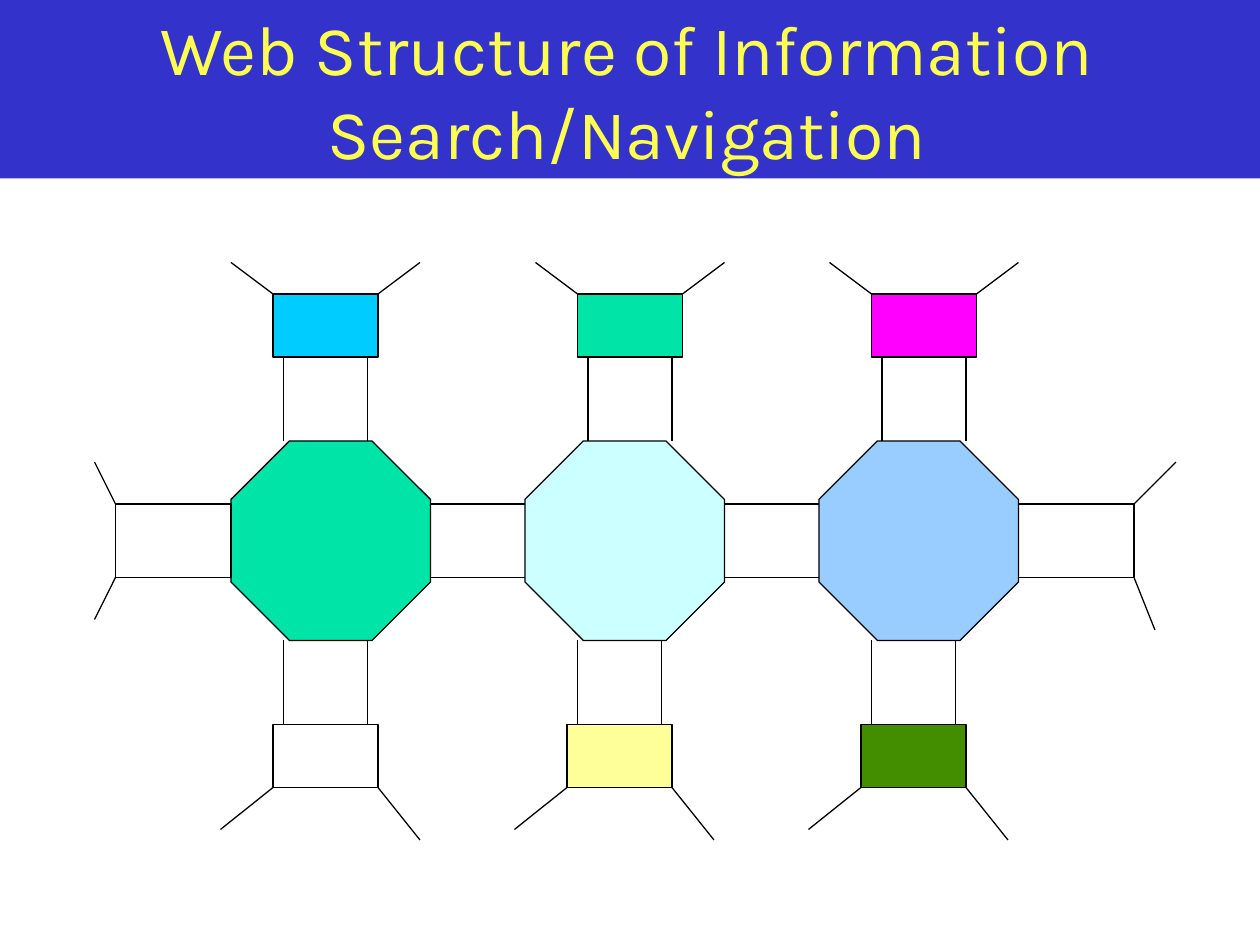
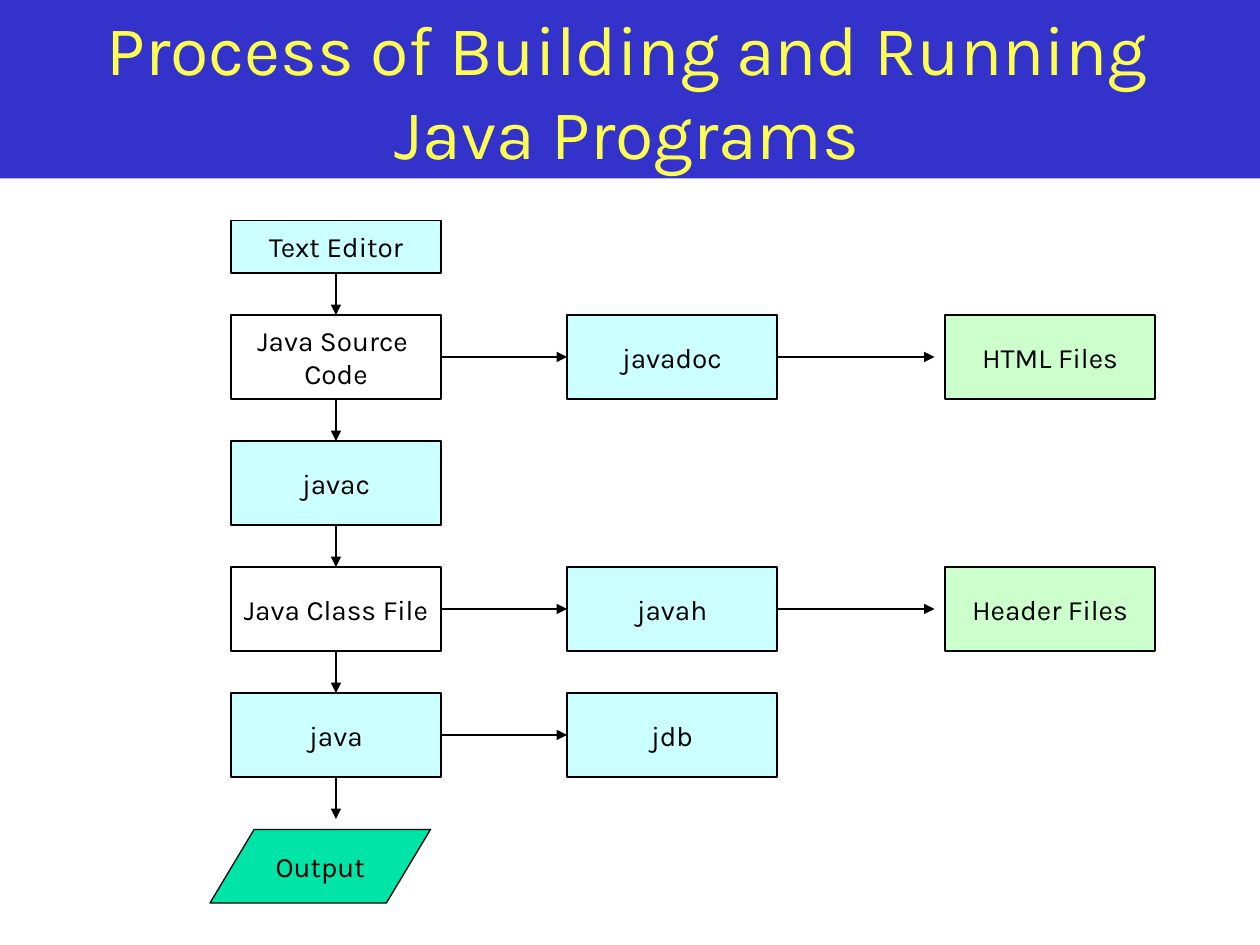
from lxml.etree import SubElement
from pptx import Presentation
from pptx.dml.color import RGBColor
from pptx.enum.shapes import MSO_CONNECTOR, MSO_SHAPE
from pptx.enum.text import MSO_ANCHOR, MSO_AUTO_SIZE, PP_ALIGN
from pptx.oxml.ns import qn
from pptx.util import Inches, Pt

COLORS = {
    "band": "3333CC", "title": "FEFE50", "line": "000000", "text": "000000",
    "green": "00E4A8", "aqua": "CCFFFF", "blue": "99CCFF", "sky": "00CCFF",
    "magenta": "FF00FF", "yellow": "FFFF99", "olive": "438E00", "mint": "CCFFCC",
}
FONT = "Karla"

deck = Presentation()
deck.slide_width, deck.slide_height = Inches(10), Inches(7.5)
# The slide is a grid of 120 columns by 90 rows
UNIT = deck.slide_width / 120


def add_box(page, kind, left, top, width, height, color=None, text=None):
    box = page.shapes.add_shape(kind, *(round(n * UNIT) for n in (left, top, width, height)))
    box.shadow.inherit = False
    box.line.color.rgb = RGBColor.from_string(COLORS["line"])
    box.line.width = Pt(0.75)
    if color:
        box.fill.solid()
        box.fill.fore_color.rgb = RGBColor.from_string(COLORS[color])
    else:
        box.fill.background()
    if text:
        frame = box.text_frame
        frame.word_wrap = False
        frame.vertical_anchor = MSO_ANCHOR.MIDDLE
        frame.text = text
        para = frame.paragraphs[0]
        para.alignment = PP_ALIGN.CENTER
        para.font.name, para.font.size = FONT, Pt(16)
        para.font.color.rgb = RGBColor.from_string(COLORS["text"])
    return box


def add_line(page, x1, y1, x2, y2, arrow=False):
    line = page.shapes.add_connector(
        MSO_CONNECTOR.STRAIGHT, *(round(n * UNIT) for n in (x1, y1, x2, y2)))
    line.line.color.rgb = RGBColor.from_string(COLORS["line"])
    line.line.width = Pt(0.75)
    properties = line.element.spPr
    if arrow:
        SubElement(properties.find(qn("a:ln")), qn("a:tailEnd"), type="triangle")
    SubElement(properties, qn("a:effectLst"))


# Pages with the shared title style
layout = deck.slide_layouts[5]
pages = []
for heading in ("Web Structure of Information Search/Navigation",
                "Process of Building and Running Java Programs"):
    page = deck.slides.add_slide(layout)
    title = page.shapes.title
    title.left, title.top, title.width, title.height = map(Inches, (0.17, 0.17, 9.61, 1.08))
    title.text_frame.text = heading
    title.text_frame.word_wrap = True
    title.text_frame.auto_size = MSO_AUTO_SIZE.NONE
    title.text_frame.vertical_anchor = MSO_ANCHOR.MIDDLE
    para = title.text_frame.paragraphs[0]
    para.alignment = PP_ALIGN.CENTER
    para.font.name, para.font.size = FONT, Pt(40)
    para.font.color.rgb = RGBColor.from_string(COLORS["title"])
    pages.append(page)
web_page, java_page = pages

# Title band, moved to the layout behind everything else
band = add_box(web_page, MSO_SHAPE.RECTANGLE, 0, 0, 120, 17, "band")
band.line.fill.background()
layout.shapes.element.insert(2, band.element)

# Web structure: three hubs, each with a node above and a node below
hubs = [
    (22, "green", 26, "sky", 26, None),
    (50, "aqua", 55, "green", 54, "yellow"),
    (78, "blue", 83, "magenta", 82, "olive"),
]
for hub_left, hub_color, upper, upper_color, lower, lower_color in hubs:
    hub = add_box(web_page, MSO_SHAPE.OCTAGON, hub_left, 42, 19, 19, hub_color)
    hub.adjustments[0] = 0.293
    add_box(web_page, MSO_SHAPE.RECTANGLE, upper, 28, 10, 6, upper_color)
    add_box(web_page, MSO_SHAPE.RECTANGLE, lower, 69, 10, 6, lower_color)
    for inset in (1, 9):
        add_line(web_page, upper + inset, 42, upper + inset, 34)
        add_line(web_page, lower + inset, 69, lower + inset, 61)
    # Loose ends leading away from the nodes
    add_line(web_page, upper, 28, upper - 4, 25)
    add_line(web_page, upper + 10, 28, upper + 14, 25)
    add_line(web_page, lower, 75, lower - 5, 79)
    add_line(web_page, lower + 10, 75, lower + 14, 80)

# Bridges between neighbouring hubs
for bridge_left in (41, 69):
    for row in (48, 55):
        add_line(web_page, bridge_left, row, bridge_left + 9, row)

# Side nodes and their loose ends
for side_left in (11, 97):
    add_box(web_page, MSO_SHAPE.RECTANGLE, side_left, 48, 11, 7)
for ends in ((108, 48, 112, 44), (108, 55, 110, 60), (11, 55, 9, 59), (11, 48, 9, 44)):
    add_line(web_page, *ends)

# Java build process: main steps, each with the tools and files to its right
LEFT, MIDDLE, RIGHT, BOX_WIDTH = 22, 54, 90, 20
steps = [
    (21, 5, "Text Editor", "aqua", None, None),
    (30, 8, "Java Source \vCode", None, "javadoc", "HTML Files"),
    (42, 8, "javac", "aqua", None, None),
    (54, 8, "Java Class File", None, "javah", "Header Files"),
    (66, 8, "java", "aqua", "jdb", None),
]
next_tops = [step[0] for step in steps[1:]] + [78]
for (top, height, name, color, tool, files), next_top in zip(steps, next_tops):
    center = top + height / 2
    add_box(java_page, MSO_SHAPE.RECTANGLE, LEFT, top, BOX_WIDTH, height, color, name)
    add_line(java_page, 32, top + height, 32, next_top, arrow=True)
    if tool:
        add_box(java_page, MSO_SHAPE.RECTANGLE, MIDDLE, top, BOX_WIDTH, height, "aqua", tool)
        add_line(java_page, LEFT + BOX_WIDTH, center, MIDDLE, center, arrow=True)
    if files:
        add_box(java_page, MSO_SHAPE.RECTANGLE, RIGHT, top, BOX_WIDTH, height, "mint", files)
        add_line(java_page, MIDDLE + BOX_WIDTH, center, RIGHT - 1, center, arrow=True)
add_box(java_page, MSO_SHAPE.FLOWCHART_DATA, 20, 79, 21, 7, "green", "Output")

deck.save("out.pptx")
